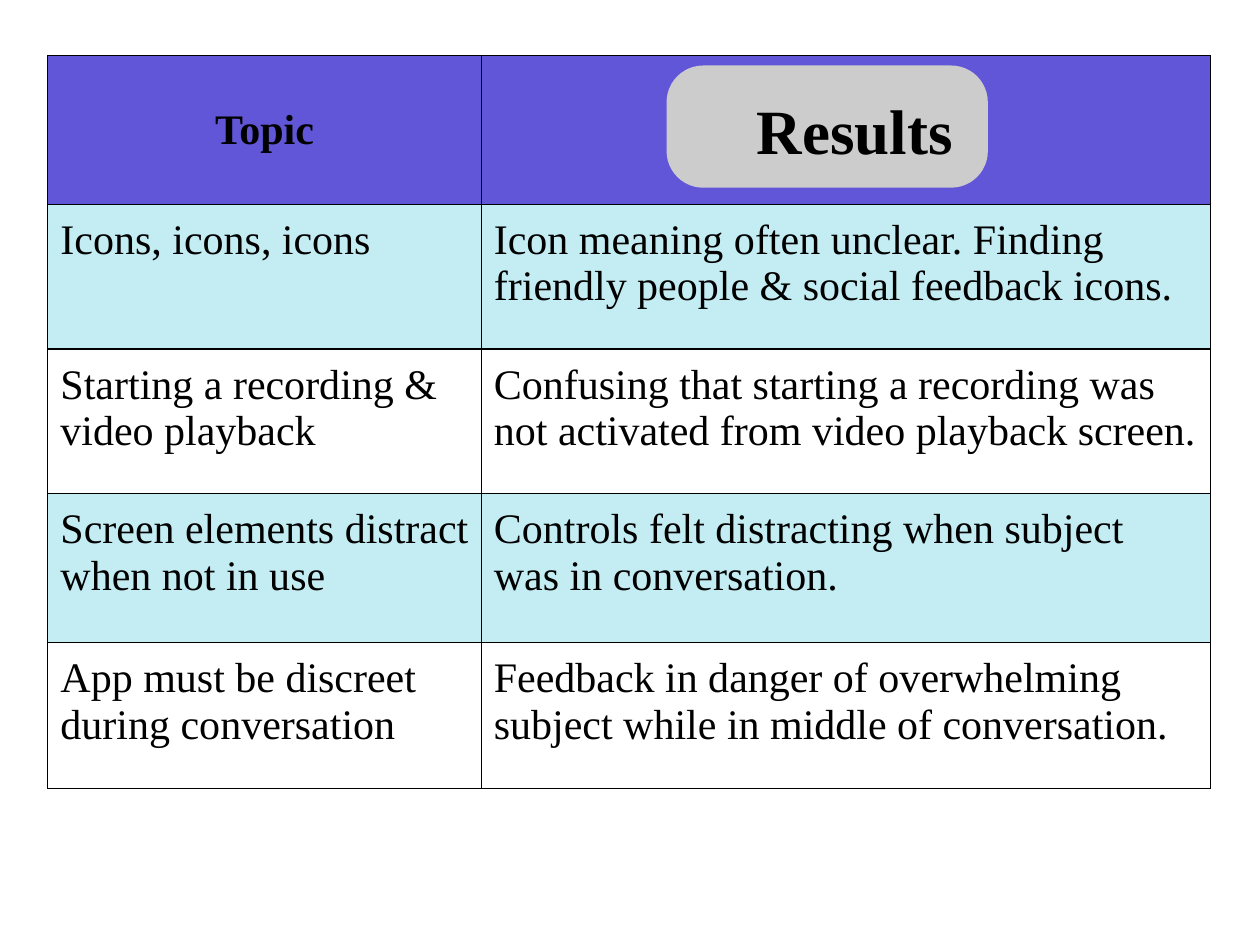
from lxml import etree
from pptx import Presentation
from pptx import util as u
from pptx.dml.color import RGBColor
from pptx.enum import shapes, text
from pptx.oxml.ns import qn

ROWS = [
    ("Topic", ""),
    ("Icons, icons, icons",
     "Icon meaning often unclear. Finding friendly people & social feedback icons."),
    ("Starting a recording & video playback",
     "Confusing that starting a recording was not activated from video playback screen."),
    ("Screen elements distract when not in use",
     "Controls felt distracting when subject was in conversation."),
    ("App must be discreet during conversation",
     "Feedback in danger of overwhelming subject while in middle of conversation."),
]
WIDTHS = [3.44, 5.79]
HEIGHTS = [1.18, 1.15, 1.15, 1.18, 1.16]


def color(code):
    return RGBColor.from_string(code)


def assign(target, values):
    for name, value in values.items():
        setattr(target, name, value)


class Deck:
    """Holds the style and the current slide, and draws each kind of element."""

    ink, head, band, badge = "000000", "6156D7", "C3EDF3", "CCCCCC"
    face = "Times New Roman"
    pad = {f"margin_{side}": u.Inches(0.1) for side in ("left", "right", "top", "bottom")}

    def __init__(self, width, height):
        self.prs = Presentation()
        assign(self.prs, {"slide_width": u.Inches(width), "slide_height": u.Inches(height)})
        self.slide = self.prs.slides.add_slide(self.prs.slide_layouts[6])

    def label(self, para, words, size, bold):
        run = para.add_run()
        run.text = words
        assign(run.font, {"name": self.face, "size": u.Pt(size), "bold": bold})
        run.font.color.rgb = color(self.ink)

    def border(self, cell):
        props = cell._tc.get_or_add_tcPr()
        for spot, side in enumerate(("lnL", "lnR", "lnT", "lnB")):
            line = etree.Element(qn(f"a:{side}"), w=str(u.Pt(0.75)))
            fill = etree.SubElement(line, qn("a:solidFill"))
            etree.SubElement(fill, qn("a:srgbClr"), val=self.ink)
            props.insert(spot, line)

    def cell(self, cell, words, row):
        assign(cell, self.pad)
        if row % 2 or row == 0:
            cell.fill.solid()
            cell.fill.fore_color.rgb = color(self.band if row else self.head)
        else:
            cell.fill.background()
        self.border(cell)
        para = cell.text_frame.paragraphs[0]
        if row == 0:
            cell.vertical_anchor = text.MSO_ANCHOR.MIDDLE
            para.alignment = text.PP_ALIGN.CENTER
        if words:
            self.label(para, words, 24, row == 0)

    def table(self, left, top, widths, heights, rows):
        box = map(u.Inches, (left, top, sum(widths), sum(heights)))
        grid = self.slide.shapes.add_table(len(rows), len(widths), *box).table
        for col, width in zip(grid.columns, widths):
            col.width = u.Inches(width)
        for line, height in zip(grid.rows, heights):
            line.height = u.Inches(height)
        for r, row in enumerate(rows):
            for c, words in enumerate(row):
                self.cell(grid.cell(r, c), words, r)

    def panel(self, *box):
        shape = self.slide.shapes.add_shape(
            shapes.MSO_SHAPE.ROUNDED_RECTANGLE, *map(u.Inches, box))
        shape.adjustments[0] = 0.3
        shape.shadow.inherit = False
        shape.fill.solid()
        shape.fill.fore_color.rgb = color(self.badge)
        shape.line.fill.background()

    def title(self, words, *box):
        frame = self.slide.shapes.add_textbox(*map(u.Inches, box)).text_frame
        assign(frame, {**self.pad, "word_wrap": True,
                       "vertical_anchor": text.MSO_ANCHOR.BOTTOM})
        para = frame.paragraphs[0]
        para.alignment = text.PP_ALIGN.LEFT
        props = para._p.get_or_add_pPr()
        props.set("marL", "0")
        props.set("indent", str(u.Inches(0.25)))
        self.label(para, words, 36, True)


def main():
    deck = Deck(10, 7.5)
    deck.table(0.38, 0.44, WIDTHS, HEIGHTS, ROWS)
    deck.panel(5.29, 0.52, 2.55, 0.97)
    deck.title("Results", 5.66, 0.59, 2.1, 0.84)
    deck.prs.save("out.pptx")


if __name__ == "__main__":
    main()
